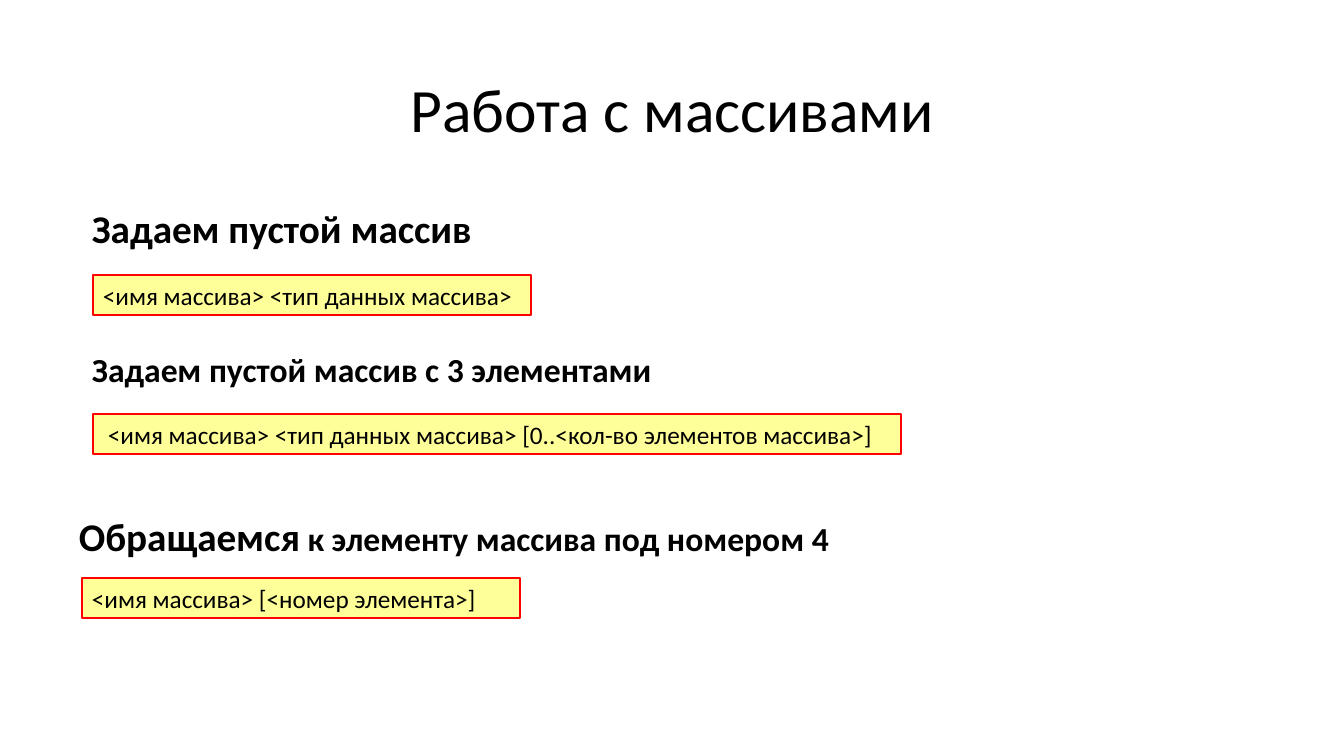
"""Build the slide on declaring arrays and reading their elements."""
from dataclasses import dataclass

from pptx import Presentation
from pptx.dml.color import RGBColor
from pptx.enum.shapes import MSO_SHAPE as Preset
from pptx.enum.text import MSO_ANCHOR as Anchor, MSO_AUTO_SIZE as AutoSize, PP_ALIGN as Align
from pptx.util import Emu, Pt


@dataclass(frozen=True)
class Theme:
    font: str = "Calibri"
    ink: RGBColor = RGBColor(0x00, 0x00, 0x00)
    frame_fill: RGBColor = RGBColor(0xFF, 0xFF, 0x99)
    frame_line: RGBColor = RGBColor(0xFF, 0x00, 0x00)
    title: int = 44
    heading: int = 28
    subheading: int = 24
    code: int = 18


THEME = Theme()
SLIDE = (1344, 756)
EMU_PER_PX = 914400 * 40 / 3 / SLIDE[0]
CODE_HEIGHT = 40

TITLE = ("Работа с массивами", (93, 40, 1159, 146))
SECTIONS = [
    {
        "heading": [("Задаем пустой массив", THEME.heading)],
        "heading_box": (82, 205, 427, 59),
        "code": "<имя массива> <тип данных массива>",
        "code_top": 275, "frame": (93, 438), "label": (93, 609),
    },
    {
        "heading": [("Задаем пустой массив с 3 элементами", THEME.subheading)],
        "heading_box": (82, 349, 638, 32),
        "code": "<имя массива> <тип данных массива> [0..<кол-во элементов массива>]",
        "code_top": 414, "frame": (93, 808), "label": (98, 799),
    },
    {
        "heading": [("Обращаемся", THEME.heading),
                    (" к элементу массива под номером 4", THEME.subheading)],
        "heading_box": (69, 513, 788, 53),
        "code": "<имя массива> [<номер элемента>]",
        "code_top": 578, "frame": (82, 438), "label": (82, 609),
    },
]


def px(*lengths):
    return [Emu(round(length * EMU_PER_PX)) for length in lengths]


def add_text(slide, box, runs, bold=False, spacing=None):
    frame = slide.shapes.add_textbox(*px(*box)).text_frame
    frame.word_wrap = True
    line = frame.paragraphs[0]
    line.line_spacing = spacing
    for words, size in runs:
        run = line.add_run()
        run.text = words
        run.font.name = THEME.font
        run.font.size = Pt(size)
        run.font.bold = bold
        run.font.color.rgb = THEME.ink
    return frame


def add_code(slide, section):
    top = section["code_top"]
    left, width = section["frame"]
    frame = slide.shapes.add_shape(Preset.RECTANGLE, *px(left, top, width, CODE_HEIGHT))
    frame.shadow.inherit = False
    frame.fill.solid()
    frame.fill.fore_color.rgb = THEME.frame_fill
    frame.line.color.rgb = THEME.frame_line
    frame.line.width = Pt(1)
    left, width = section["label"]
    label = add_text(slide, (left, top, width, CODE_HEIGHT), [(section["code"], THEME.code)])
    label.auto_size = AutoSize.SHAPE_TO_FIT_TEXT


def main():
    deck = Presentation()
    deck.slide_width, deck.slide_height = px(*SLIDE)
    slide = deck.slides.add_slide(deck.slide_layouts[6])
    words, box = TITLE
    title = add_text(slide, box, [(words, THEME.title)], spacing=0.9)
    title.vertical_anchor = Anchor.MIDDLE
    title.paragraphs[0].alignment = Align.CENTER
    for section in SECTIONS:
        add_text(slide, section["heading_box"], section["heading"], bold=True, spacing=0.9)
        add_code(slide, section)
    deck.save("out.pptx")


if __name__ == "__main__":
    main()
